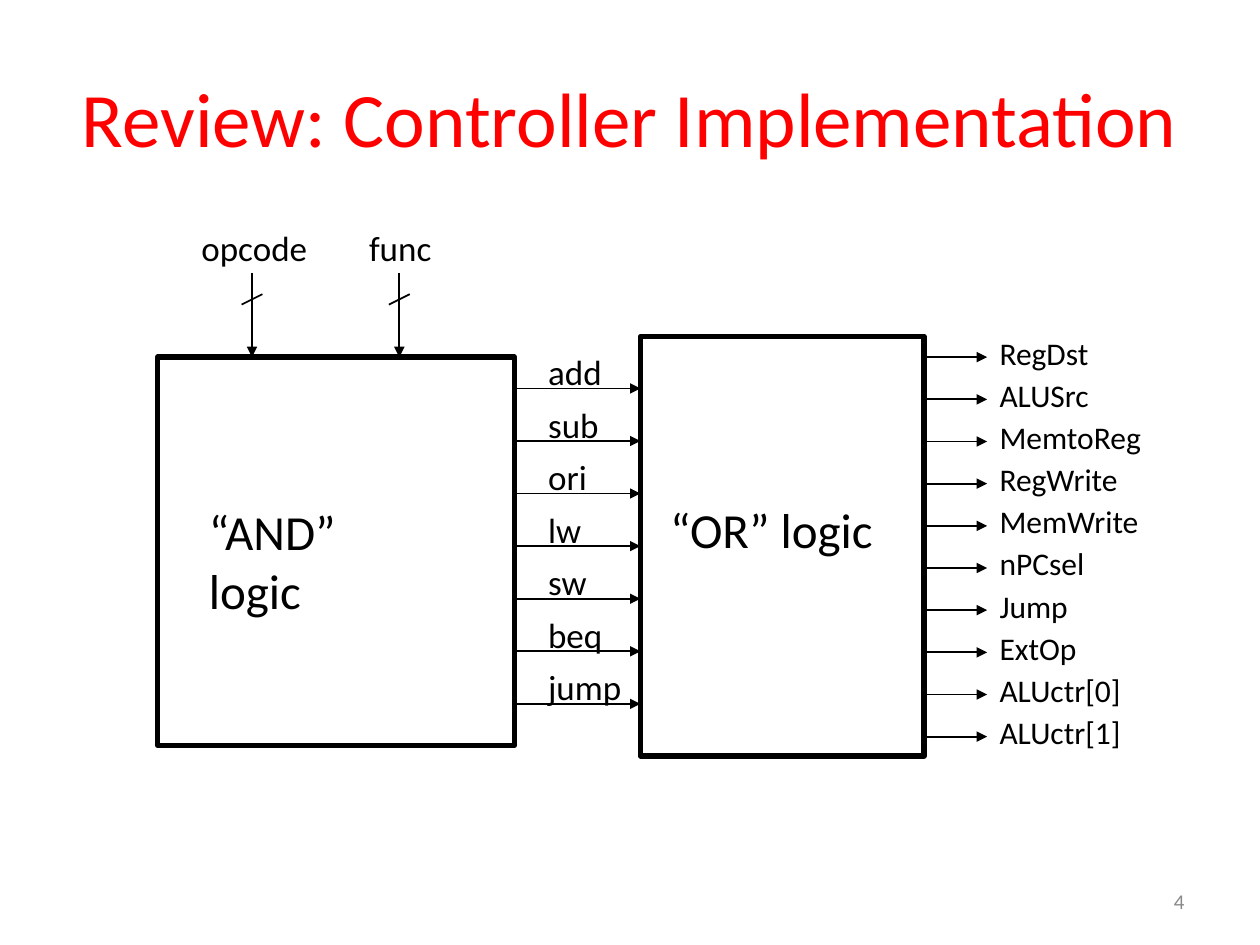
from lxml import etree
from pptx import Presentation
from pptx import util as u
from pptx.dml.color import RGBColor
from pptx.enum import shapes, text
from pptx.oxml import ns

BLACK = RGBColor(0, 0, 0)
RED = RGBColor(255, 0, 0)
GRAY = RGBColor(0x89, 0x89, 0x89)
LEFT, MID, RIGHT = text.PP_ALIGN.LEFT, text.PP_ALIGN.CENTER, text.PP_ALIGN.RIGHT
TOP, CENTER = text.MSO_ANCHOR.TOP, text.MSO_ANCHOR.MIDDLE

CODES = ["add", "sub", "ori", "lw", "sw", "beq", "jump"]
FLAGS = ["RegDst", "ALUSrc", "MemtoReg", "RegWrite", "MemWrite",
         "nPCsel", "Jump", "ExtOp", "ALUctr[0]", "ALUctr[1]"]
INPUTS = [("opcode", 3.81, 5.08), ("func", 7.19, 8.05)]


class Sketch:
    font = "Calibri"
    thick, thin = u.Pt(3), u.Pt(1)

    def __init__(self, slide):
        self.shapes = slide.shapes

    def label(self, words, x, y, w, h, size, color=BLACK, align=LEFT, anchor=TOP):
        box = self.shapes.add_textbox(u.Cm(x), u.Cm(y), u.Cm(w), u.Cm(h))
        frame = box.text_frame
        frame.word_wrap = True
        frame.vertical_anchor = anchor
        frame.text = words
        para = frame.paragraphs[0]
        para.alignment = align
        for run in para.runs:
            run.font.name = self.font
            run.font.size = u.Pt(size)
            run.font.color.rgb = color

    def block(self, x, y, w, h):
        rect = self.shapes.add_shape(
            shapes.MSO_SHAPE.RECTANGLE, u.Cm(x), u.Cm(y), u.Cm(w), u.Cm(h))
        rect.shadow.inherit = False
        rect.fill.background()
        rect.line.color.rgb = BLACK
        rect.line.width = self.thick
        return rect

    def line(self, x1, y1, x2, y2):
        wire = self.shapes.add_connector(
            shapes.MSO_CONNECTOR.STRAIGHT, u.Cm(x1), u.Cm(y1), u.Cm(x2), u.Cm(y2))
        wire.line.color.rgb = BLACK
        wire.line.width = self.thin
        etree.SubElement(wire.element.spPr, ns.qn("a:effectLst"))
        return wire

    def arrow(self, x1, y1, x2, y2):
        wire = self.line(x1, y1, x2, y2)
        etree.SubElement(wire.line._get_or_add_ln(), ns.qn("a:tailEnd"), type="triangle")
        return wire


def main():
    deck = Presentation()
    deck.slide_width, deck.slide_height = u.Cm(25.4), u.Cm(19.05)
    draw = Sketch(deck.slides.add_slide(deck.slide_layouts[6]))

    draw.label("Review: Controller Implementation", 1.27, 0.76, 22.86, 3.18,
               44, RED, MID, CENTER)

    draw.block(3.18, 7.2, 7.19, 7.83)
    gate = draw.block(12.91, 6.78, 5.72, 8.46)
    draw.label("“AND” logic", 3.96, 9.98, 4.9, 2.6, 28)
    draw.label("“OR” logic", 13.26, 9.95, 5.2, 1.45, 28)

    for row, code in enumerate(CODES):
        y = 7.83 + 1.06 * row
        wire = draw.arrow(10.37, y, 12.91, y)
        if row == len(CODES) // 2:
            wire.end_connect(gate, 1)
        draw.label(code, 10.8, y - 0.89, 2.3, 1.11, 20)

    for row, flag in enumerate(FLAGS):
        y = 7.2 + 0.85 * row
        draw.arrow(18.63, y, 19.9, y)
        draw.label(flag, 19.9, y - 0.6, 3.7, 1.02, 18)

    for name, left, x in INPUTS:
        draw.label(name, left, 4.45, 2.8, 1.11, 20)
        draw.arrow(x, 5.5, x, 7.2)
        draw.line(x - 0.21, 6.14, x + 0.21, 5.93)

    draw.label("4", 18.2, 17.66, 5.93, 1.01, 12, GRAY, RIGHT, CENTER)
    deck.save("out.pptx")


if __name__ == "__main__":
    main()
